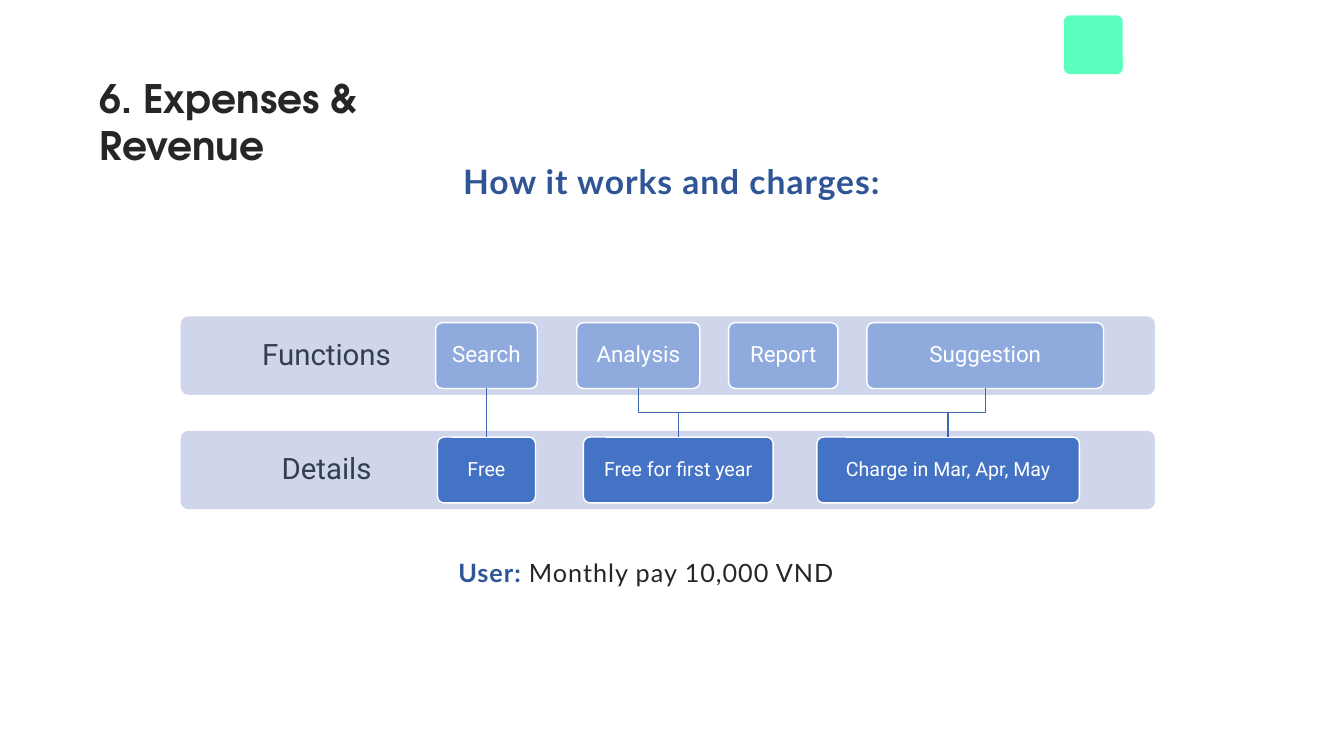
from lxml import etree
from pptx import Presentation
from pptx import util as u
from pptx.dml.color import RGBColor
from pptx.enum import shapes, text
from pptx.oxml import ns

COLORS = {
    "heading": "2F5597", "ink": "262626", "label": "333F50", "band": "CFD5EA",
    "function": "8FAADC", "detail": "4472C4", "link": "3E67B2",
    "white": "FFFFFF", "badge": "5CFFBE",
}

BAND_LEFT, BAND_WIDTH, BAND_HEIGHT = 129, 696, 56
LABEL_INSET, LABEL_RIGHT = 11.5, 499
BOX_HEIGHT, BOX_OFFSET = 47, 4.5

# label, top, box colour, text size, inset, boxes as (text, left, width)
ROWS = [
    ("Functions", 226, "function", 16, 6.5, [
        ("Search", 311.25, 72.5), ("Analysis", 412, 88),
        ("Report", 520.5, 78), ("Suggestion", 619.25, 169)]),
    ("Details", 307.75, "detail", 14, 6, [
        ("Free", 312.5, 70), ("Free for first year", 416.75, 135.5),
        ("Charge in Mar, Apr, May", 583.5, 187.5)]),
]


def color(name):
    return RGBColor.from_string(COLORS[name])


def add_span(para, words, font, size, ink, bold=False, spacing=0):
    span = para.add_run()
    span.text = words
    span.font.name = font
    span.font.size = u.Pt(size)
    span.font.bold = bold
    span.font.color.rgb = color(ink)
    if spacing:
        span.font._element.set("spc", str(round(spacing * 100)))


def add_text(page, left, top, width, height):
    """Add a wrapping text box and return its first paragraph."""
    box = page.shapes.add_textbox(u.Pt(left), u.Pt(top), u.Pt(width), u.Pt(height))
    box.text_frame.word_wrap = True
    box.text_frame.auto_size = text.MSO_AUTO_SIZE.SHAPE_TO_FIT_TEXT
    return box.text_frame.paragraphs[0]


def add_caption(page, left, top, height, size, spans):
    """Add a centred, letter-spaced line; spans are (words, colour, bold)."""
    para = add_text(page, left, top, 582, height)
    para.alignment = text.PP_ALIGN.CENTER
    para.line_spacing = 1.14
    para.space_before = para.space_after = u.Pt(6)
    for words, ink, bold in spans:
        add_span(para, words, "Lato", size, ink, bold, 0.7)


def add_panel(page, left, top, width, height, fill, outline=None):
    panel = page.shapes.add_shape(
        shapes.MSO_SHAPE.ROUNDED_RECTANGLE,
        u.Pt(left), u.Pt(top), u.Pt(width), u.Pt(height))
    panel.adjustments[0] = 0.1
    panel.shadow.inherit = False
    panel.fill.solid()
    panel.fill.fore_color.rgb = color(fill)
    if outline:
        panel.line.color.rgb = color(outline)
        panel.line.width = u.Pt(1)
    else:
        panel.line.fill.background()
    return panel


def write_panel(panel, words, size, ink, inset, right_inset):
    frame = panel.text_frame
    frame.word_wrap = True
    frame.vertical_anchor = text.MSO_ANCHOR.MIDDLE
    frame.margin_left = frame.margin_top = frame.margin_bottom = u.Pt(inset)
    frame.margin_right = u.Pt(right_inset)
    para = frame.paragraphs[0]
    para.alignment = text.PP_ALIGN.CENTER
    para.line_spacing = 0.9
    add_span(para, words, "Roboto", size, ink)


def add_row(page, label, top, fill, size, inset, boxes):
    """Add a band with its label and boxes; return the boxes by text."""
    band = add_panel(page, BAND_LEFT, top, BAND_WIDTH, BAND_HEIGHT, "band")
    write_panel(band, label, 21, "label", LABEL_INSET, LABEL_RIGHT)
    made = {}
    for words, left, width in boxes:
        box = add_panel(page, left, top + BOX_OFFSET, width, BOX_HEIGHT, fill, "white")
        write_panel(box, words, size, "white", inset, inset)
        made[words] = box
    return made


def style_link(link):
    link.line.color.rgb = color("link")
    link.line.width = u.Pt(1)


def add_line(page, start, end):
    line = page.shapes.add_connector(shapes.MSO_CONNECTOR.STRAIGHT, *start, *end)
    style_link(line)
    etree.SubElement(line._element.spPr, ns.qn("a:effectLst"))
    return line


def bottom_middle(box):
    return box.left + box.width // 2, box.top + box.height


def top_middle(box):
    return box.left + box.width // 2, box.top


def add_elbow(page, upper, lower):
    """Link two boxes with a stepped line that turns halfway down."""
    start, end = bottom_middle(upper), top_middle(lower)
    middle = (start[1] + end[1]) // 2
    builder = page.shapes.build_freeform(*start)
    builder.add_line_segments([(start[0], middle), (end[0], middle), end], close=False)
    elbow = builder.convert_to_shape()
    elbow.fill.background()
    elbow.shadow.inherit = False
    style_link(elbow)
    return middle


def main():
    deck = Presentation()
    deck.slide_width, deck.slide_height = u.Pt(960), u.Pt(540)
    page = deck.slides.add_slide(deck.slide_layouts[6])

    # Title, heading and corner badge
    title = add_text(page, 64, 49.75, 287, 41)
    add_span(title, "6. Expenses & Revenue", "TeX Gyre Adventor", 28, "ink", True)
    add_caption(page, 188.75, 107.25, 39, 24,
                [("How it works and charges:", "heading", True)])
    add_panel(page, 760, 11, 42, 42, "badge")

    # Functions and details
    boxes = {}
    for row in ROWS:
        boxes.update(add_row(page, *row))

    # Links between the rows
    search, free = boxes["Search"], boxes["Free"]
    line = add_line(page, bottom_middle(search), top_middle(free))
    line.begin_connect(search, 2)
    line.end_connect(free, 0)
    first_year, charge = boxes["Free for first year"], boxes["Charge in Mar, Apr, May"]
    add_elbow(page, boxes["Analysis"], first_year)
    middle = add_elbow(page, boxes["Suggestion"], charge)
    add_line(page, (top_middle(first_year)[0], middle), (top_middle(charge)[0], middle))

    # Price
    add_caption(page, 170.5, 391.75, 31, 18,
                [("User: ", "heading", True), ("Monthly pay 10,000 VND", "ink", False)])

    deck.save("out.pptx")


if __name__ == "__main__":
    main()
